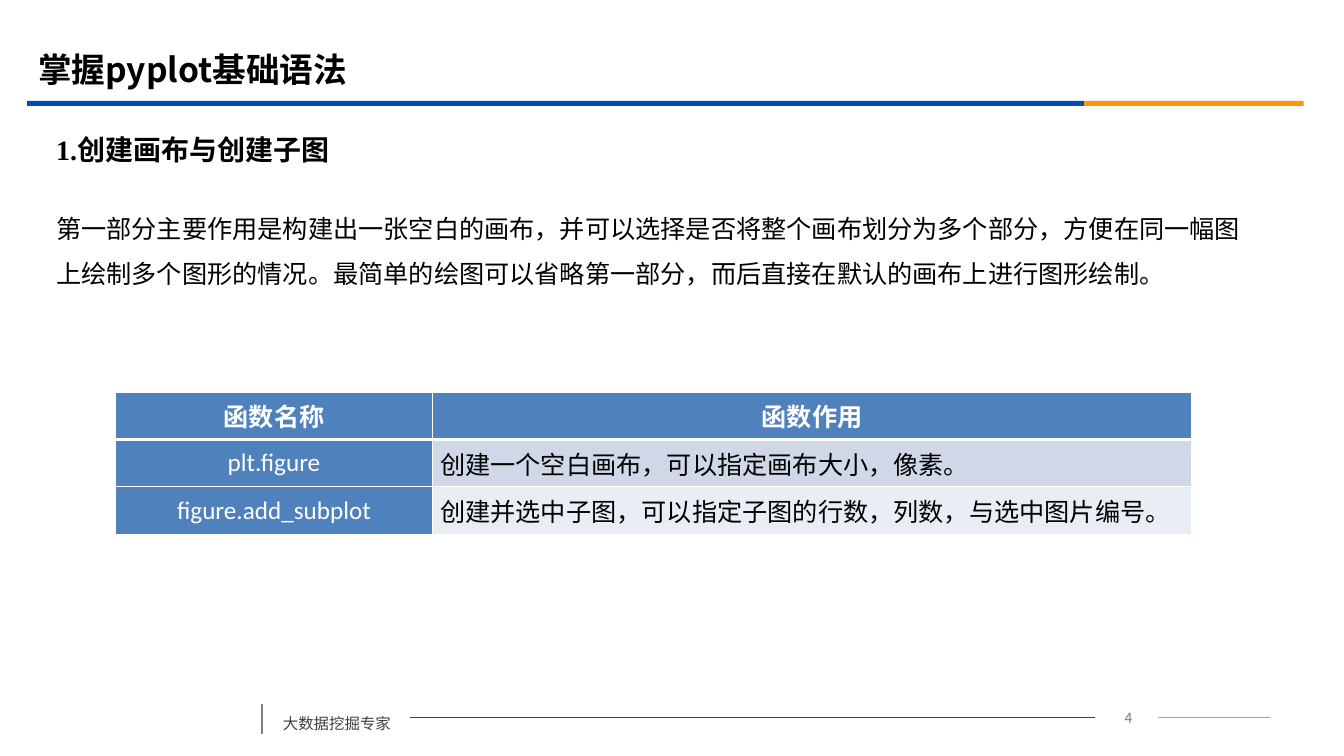
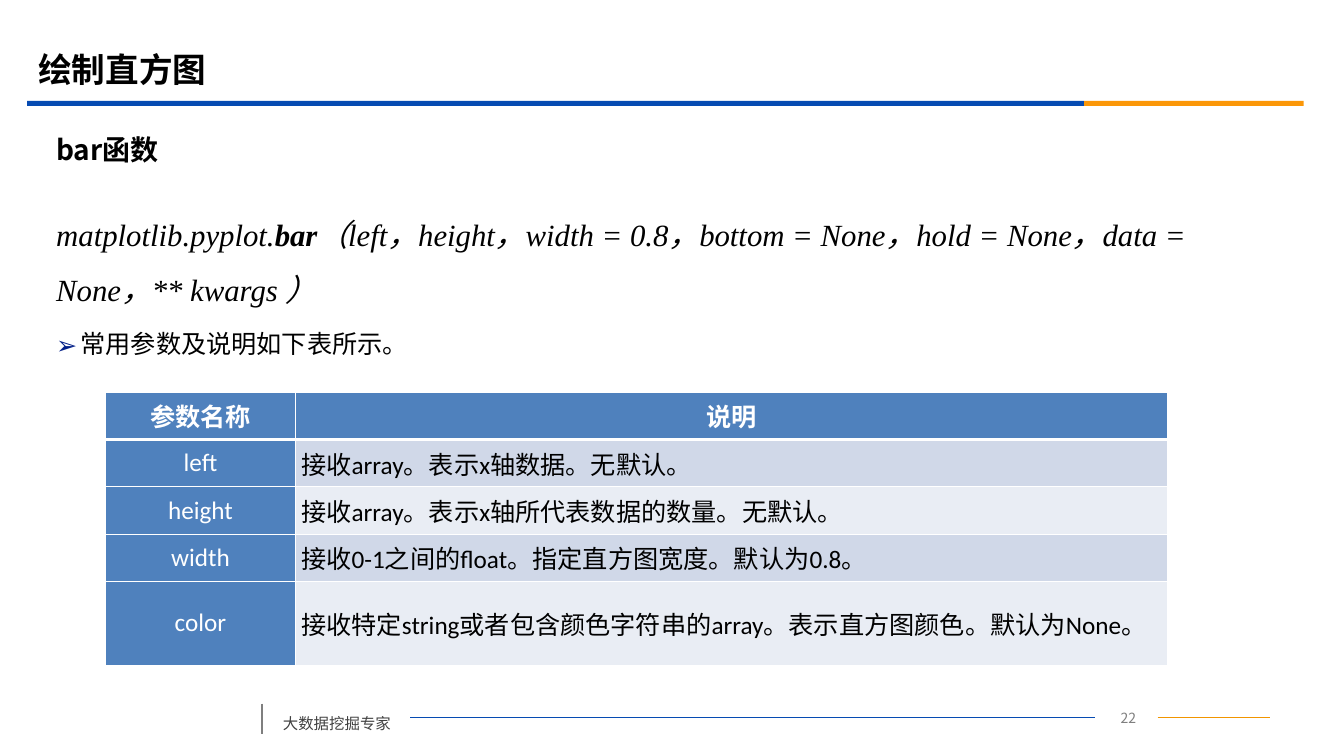
from dataclasses import dataclass

import pptx
import pptx.dml.color
import pptx.enum.shapes
import pptx.enum.text
import pptx.oxml
import pptx.oxml.ns
import pptx.util

ALIGN = pptx.enum.text.PP_ALIGN
MIDDLE = pptx.enum.text.MSO_ANCHOR.MIDDLE
EMU_PER_PX = 9144  # 100 px to the inch


@dataclass(frozen=True)
class Theme:
    chinese: str = "Noto Sans CJK SC"
    latin: str = "Calibri"
    serif: str = "Times New Roman"
    black: str = "000000"
    white: str = "FFFFFF"
    blue: str = "064BB2"
    orange: str = "FB9708"
    thin_orange: str = "F19500"
    gray: str = "7F7F7F"
    footer_gray: str = "404040"
    bullet: str = "032089"
    table_blue: str = "4F81BD"
    bands: tuple = ("D0D8E8", "E9EDF4")
    title_size: int = 24
    heading_size: int = 20
    code_size: int = 22
    body_size: int = 18
    footer_size: int = 11
    number_size: int = 10
    thin_border: int = 1
    thick_border: int = 3


THEME = Theme()
FOOTER = "大数据挖掘专家"
BANDS = [((27, 100, 1049, 5), THEME.blue), ((1076, 100, 218, 5), THEME.orange)]
RULES = [
    ((1149, 712), (1261, 712), THEME.thin_orange, 0.75),
    ((407, 712), (1087, 712), THEME.blue, 0.75),
    ((260, 698), (260, 728), THEME.gray, 1.25),
]
CELL_LINE = 36
CELL_PADDING = 11

SLIDES = [
    {
        "number": "4",
        "title": "掌握pyplot基础语法",
        "heading": ("1.创建画布与创建子图", THEME.serif),
        "body": [
            {"size": THEME.body_size, "font": THEME.chinese, "line": 32, "runs": [
                ("第一部分主要作用是构建出一张空白的画布，并可以选择是否将整个画布划分为多个部分，"
                 "方便在同一幅图上绘制多个图形的情况。最简单的绘图可以省略第一部分，"
                 "而后直接在默认的画布上进行图形绘制。", {})]},
        ],
        "table": {
            "at": (115, 389), "columns": (314, 754), "margin": 8,
            "line_counts": (1, 1, 1),
            "rows": [
                ("函数名称", "函数作用"),
                ("plt.figure", "创建一个空白画布，可以指定画布大小，像素。"),
                ("figure.add_subplot", "创建并选中子图，可以指定子图的行数，列数，与选中图片编号。"),
            ],
        },
    },
    {
        "number": "22",
        "title": "绘制直方图",
        "heading": ("bar函数", THEME.chinese),
        "body": [
            {"size": THEME.code_size, "font": THEME.serif, "line": 39, "runs": [
                ("matplotlib.pyplot.", {"italic": True}),
                ("bar", {"italic": True, "bold": True}),
                ("（left，height，width = 0.8，bottom = None，hold = None，"
                 "data = None，** kwargs ）", {"italic": True})]},
            {"size": THEME.body_size, "font": THEME.serif, "line": 32, "bullet": "➢",
             "runs": [("常用参数及说明如下表所示。", {})]},
        ],
        "table": {
            "at": (105, 389), "columns": (188, 866), "margin": 6,
            "line_counts": (1, 1, 1, 1, 2),
            "rows": [
                ("参数名称", "说明"),
                ("left", "接收array。表示x轴数据。无默认。"),
                ("height", "接收array。表示x轴所代表数据的数量。无默认。"),
                ("width", "接收0-1之间的float。指定直方图宽度。默认为0.8。"),
                ("color", "接收特定string或者包含颜色字符串的array。表示直方图颜色。默认为None。"),
            ],
        },
    },
]


def px(length):
    return pptx.util.Emu(length * EMU_PER_PX)


def rgb(color):
    return pptx.dml.color.RGBColor.from_string(color)


def xml(markup):
    """Parse one DrawingML element, given without its namespace declaration."""
    tag, rest = markup.split(" ", 1)
    return pptx.oxml.parse_xml(f"{tag} {pptx.oxml.ns.nsdecls('a')} {rest}")


def add_span(para, text, size, color=THEME.black, font=THEME.chinese, bold=False, italic=False):
    """Add a run: `font` sets Latin letters, Chinese keeps the theme's font."""
    span = para.add_run()
    span.text = text
    span.font.size = pptx.util.Pt(size)
    span.font.color.rgb = rgb(color)
    span.font.bold = bold
    span.font.italic = italic
    span.font.name = font
    latin = span.font._element.find(pptx.oxml.ns.qn("a:latin"))
    latin.addnext(xml(f'<a:ea typeface="{THEME.chinese}"/>'))


def add_box(slide, *area):
    box = slide.shapes.add_textbox(*map(px, area))
    box.text_frame.word_wrap = True
    return box.text_frame


def add_bullet(para, mark):
    properties = para._p.get_or_add_pPr()
    indent = px(24)
    properties.set("marL", str(indent))
    properties.set("indent", str(-indent))
    for markup in (
        f'<a:buClr ><a:srgbClr val="{THEME.bullet}"/></a:buClr>',
        f'<a:buFont typeface="{THEME.chinese}"/>',
        f'<a:buChar char="{mark}"/>',
    ):
        properties.append(xml(markup))


def add_rule(slide, start, end, color, width):
    rule = slide.shapes.add_connector(
        pptx.enum.shapes.MSO_CONNECTOR.STRAIGHT, *map(px, start + end))
    rule.line.color.rgb = rgb(color)
    rule.line.width = pptx.util.Pt(width)
    rule._element.spPr.append(xml("<a:effectLst />"))
    rule._element.remove(rule._element.find(pptx.oxml.ns.qn("p:style")))


def add_frame(slide, number):
    """Draw the bands, rules, footer and page number that every slide has."""
    for area, color in BANDS:
        band = slide.shapes.add_shape(pptx.enum.shapes.MSO_SHAPE.RECTANGLE, *map(px, area))
        band.shadow.inherit = False
        band.fill.solid()
        band.fill.fore_color.rgb = rgb(color)
        band.line.fill.background()
    for rule in RULES:
        add_rule(slide, *rule)
    footer = add_box(slide, 271, 694, 136, 38).paragraphs[0]
    footer.line_spacing = pptx.util.Pt(20)
    add_span(footer, FOOTER, THEME.footer_size, THEME.footer_gray)
    page = add_box(slide, 1089, 699, 62, 25).paragraphs[0]
    page.alignment = ALIGN.CENTER
    add_span(page, number, THEME.number_size, THEME.gray)


def add_title(slide, text):
    title = slide.shapes.title
    title.left, title.top, title.width, title.height = map(px, (28, 40, 1200, 58))
    frame = title.text_frame
    frame.auto_size = pptx.enum.text.MSO_AUTO_SIZE.NONE
    frame.vertical_anchor = MIDDLE
    frame.paragraphs[0].alignment = ALIGN.LEFT
    add_span(frame.paragraphs[0], text, THEME.title_size, bold=True)


def add_heading(slide, text, font):
    frame = add_box(slide, 46, 125, 1215, 47)
    frame.vertical_anchor = MIDDLE
    add_span(frame.paragraphs[0], text, THEME.heading_size, font=font, bold=True)


def add_body(slide, paragraphs):
    frame = add_box(slide, 46, 192, 1215, 474)
    for index, content in enumerate(paragraphs):
        para = frame.add_paragraph() if index else frame.paragraphs[0]
        if "bullet" in content:
            add_bullet(para, content["bullet"])
        para.line_spacing = pptx.util.Pt(content["line"])
        if index:
            para.space_before = pptx.util.Pt(4.5)
        for text, style in content["runs"]:
            add_span(para, text, content["size"], font=content["font"], **style)


def set_borders(cell, row):
    """White borders, thicker between the header and the first row below it."""
    widths = {"L": THEME.thin_border, "R": THEME.thin_border,
              "T": THEME.thick_border if row == 1 else THEME.thin_border,
              "B": THEME.thick_border if row == 0 else THEME.thin_border}
    properties = cell._tc.get_or_add_tcPr()
    for index, (side, width) in enumerate(widths.items()):
        properties.insert(index, xml(
            f'<a:ln{side} w="{pptx.util.Pt(width)}"><a:solidFill>'
            f'<a:srgbClr val="{THEME.white}"/></a:solidFill></a:ln{side}>'))


def add_table(slide, at, columns, margin, line_counts, rows):
    """Add a table whose rows are tall enough for their counts of text lines."""
    heights = [CELL_PADDING + CELL_LINE * count for count in line_counts]
    area = (*at, sum(columns), sum(heights))
    table = slide.shapes.add_table(len(rows), len(columns), *map(px, area)).table
    for column, width in zip(table.columns, columns):
        column.width = px(width)
    for row, texts in enumerate(rows):
        table.rows[row].height = px(heights[row])
        for column, text in enumerate(texts):
            is_header = row == 0
            is_label = is_header or column == 0
            cell = table.cell(row, column)
            cell.vertical_anchor = MIDDLE
            cell.margin_left = cell.margin_right = px(margin)
            cell.margin_top = cell.margin_bottom = px(5)
            cell.fill.solid()
            cell.fill.fore_color.rgb = rgb(
                THEME.table_blue if is_label else THEME.bands[(row - 1) % 2])
            set_borders(cell, row)
            para = cell.text_frame.paragraphs[0]
            para.alignment = ALIGN.CENTER if is_label else ALIGN.JUSTIFY
            add_span(para, text, THEME.body_size,
                     color=THEME.white if is_label else THEME.black,
                     font=THEME.chinese if is_header else THEME.latin,
                     bold=is_header)


def main():
    deck = pptx.Presentation()
    deck.slide_width, deck.slide_height = px(1334), px(750)
    title_only = deck.slide_layouts[5]
    for content in SLIDES:
        slide = deck.slides.add_slide(title_only)
        add_frame(slide, content["number"])
        add_title(slide, content["title"])
        add_heading(slide, *content["heading"])
        add_body(slide, content["body"])
        add_table(slide, **content["table"])
    deck.save("out.pptx")


if __name__ == "__main__":
    main()
